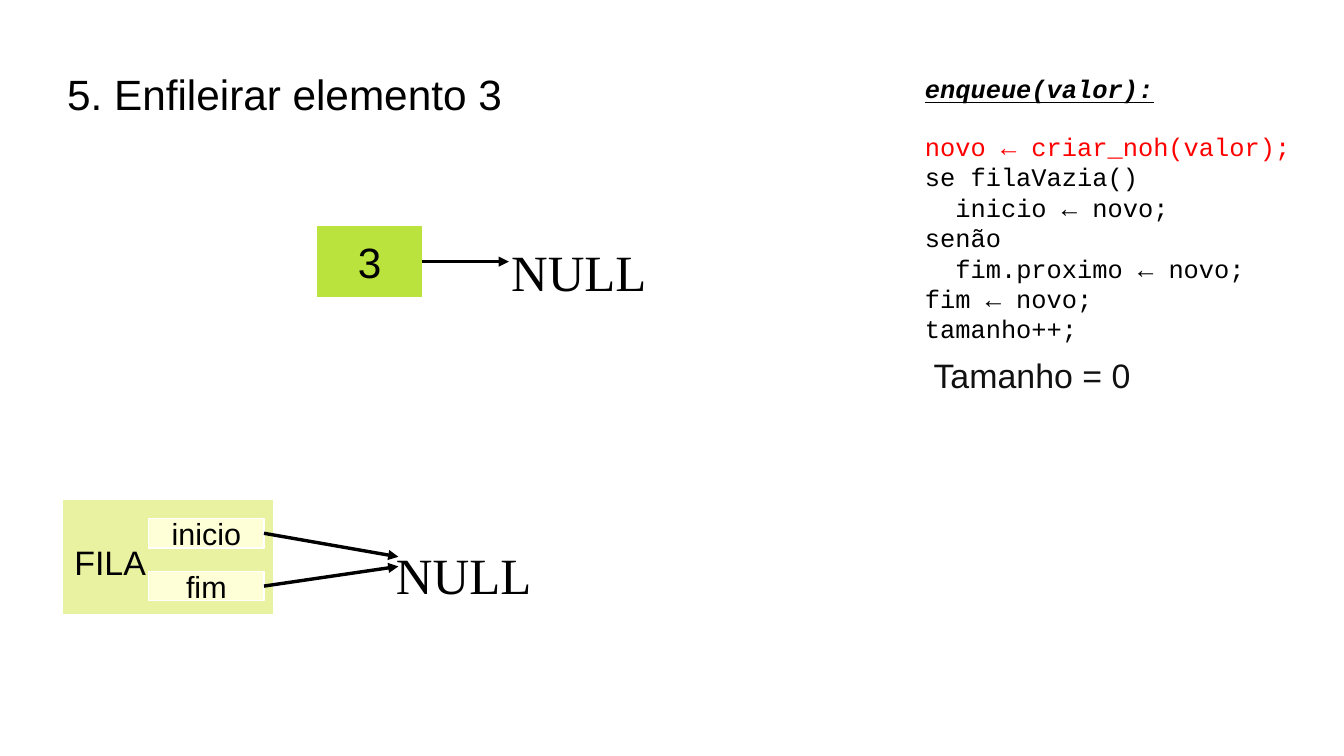
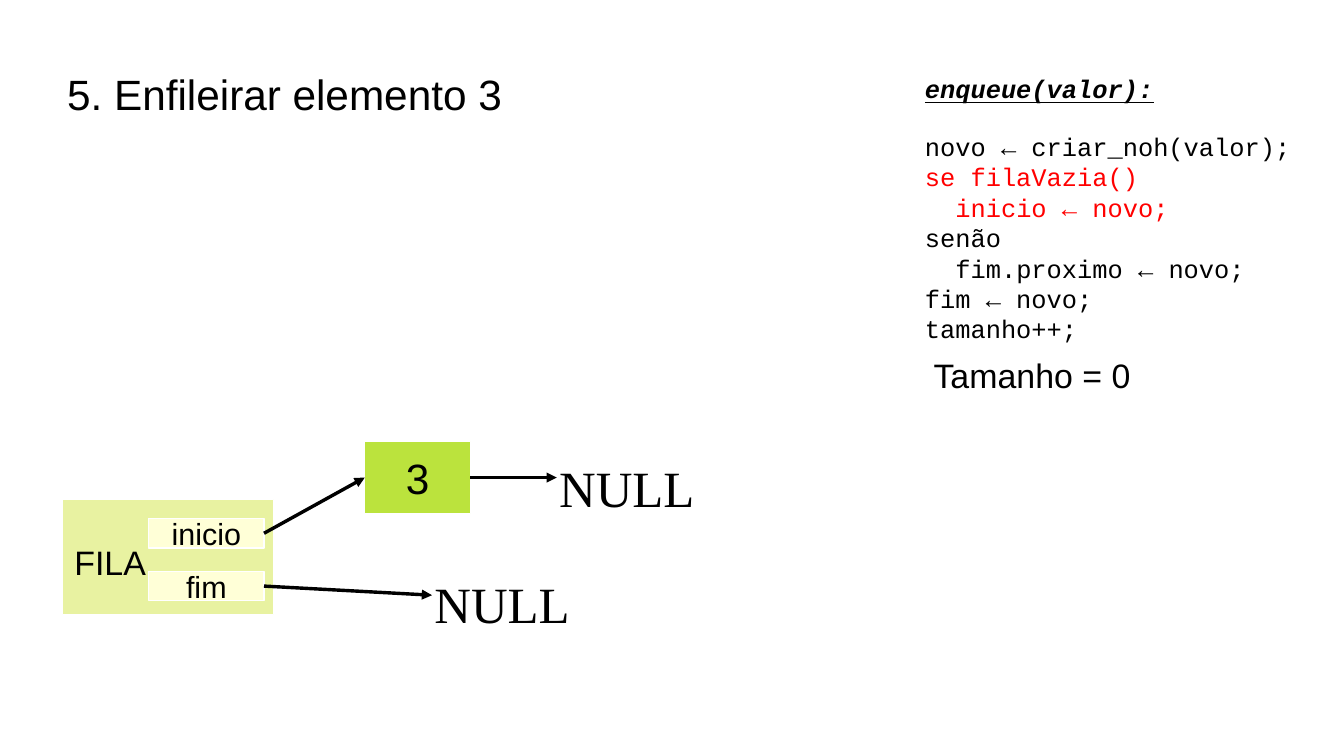
from lxml import etree
from pptx import Presentation
from pptx import util as u
from pptx.dml.color import RGBColor
from pptx.enum import shapes, text
from pptx.oxml.ns import qn

COLORS = {"ink": "000000", "dark": "111111", "active": "FF0000", "white": "FFFFFF",
          "queue": "E8F2A1", "pointer": "FFFFD7", "node": "BBE33D"}
CODE = [("novo ← criar_noh(valor);", 0), ("se filaVazia()", 0), ("inicio ← novo;", 1),
        ("senão", 0), ("fim.proximo ← novo;", 1), ("fim ← novo;", 0), ("tamanho++;", 0)]
STEPS = [
    {"active": [0], "node": (6.6, 4.7), "null": (8, 11.2),
     "inicio": (8.3, 11.6), "fim": (8.3, 11.8), "size": "dark"},
    {"active": [1, 2], "node": (7.6, 9.2), "null": (8.8, 11.8),
     "inicio": None, "fim": (9, 12.4), "size": "ink"},
]


def write(frame, words, size=20, font="Arial", color="ink", align="LEFT", anchor="TOP",
          wrap=True, emphasis=False, after=0, indent=0, add=False):
    frame.word_wrap = wrap
    frame.auto_size = text.MSO_AUTO_SIZE.NONE
    frame.vertical_anchor = text.MSO_ANCHOR[anchor]
    line = frame.add_paragraph() if add else frame.paragraphs[0]
    line.alignment = text.PP_ALIGN[align]
    line.space_after = u.Pt(after)
    if indent:
        line._p.get_or_add_pPr().set("marL", str(u.Pt(indent)))
    run = line.add_run()
    run.text = words
    run.font.name = font
    run.font.size = u.Pt(size)
    run.font.bold = run.font.italic = run.font.underline = emphasis
    run.font.color.rgb = RGBColor.from_string(COLORS[color])


def box(slide, left, top, width, height, fill):
    rect = slide.shapes.add_shape(shapes.MSO_SHAPE.RECTANGLE, *map(u.Cm, (left, top, width, height)))
    rect.shadow.inherit = False
    rect.fill.solid()
    rect.fill.fore_color.rgb = RGBColor.from_string(COLORS[fill])
    rect.line.color.rgb = RGBColor.from_string(COLORS["white"])
    rect.line.width = 0
    return rect


deck = Presentation()
deck.slide_width, deck.slide_height = u.Cm(28), u.Cm(15.75)

for step in STEPS:
    slide = deck.slides.add_slide(deck.slide_layouts[5])
    title = slide.shapes.title
    title.left, title.top, title.width, title.height = map(u.Cm, (1.4, 0.63, 25.2, 2.63))
    frame = title.text_frame
    frame.margin_left = frame.margin_right = frame.margin_top = frame.margin_bottom = 0
    write(frame, "5. Enfileirar elemento 3", size=25, anchor="MIDDLE")

    box(slide, 1.3, 10.4, 4.4, 2.4, "queue")
    pointers = {}
    for name, top in (("inicio", 10.8), ("fim", 11.9)):
        pointers[name] = box(slide, 3.1, top, 2.4, 0.62, "pointer")
        write(pointers[name].text_frame, name, size=18, align="CENTER", anchor="MIDDLE", wrap=False)

    node_left, node_top = step["node"]
    node = box(slide, node_left, node_top, 2.2, 1.5, "node")
    write(node.text_frame, "3", size=25, align="CENTER", anchor="MIDDLE", wrap=False)

    null_format = {"size": 30, "font": "Times New Roman"}
    labels = [
        ("FILA", (1.3, 11.15), 2.1, {}),
        ("NULL", step["null"], 3.4, null_format),
        ("NULL", (node_left + 3.8, node_top + 0.2), 3.4, null_format),
        ("Tamanho = 0", (19.2, 7.27), 4.8, {"color": step["size"]}),
    ]
    for words, (left, top), width, style in labels:
        label = slide.shapes.add_textbox(u.Cm(left), u.Cm(top), u.Cm(width), u.Cm(1.2))
        write(label.text_frame, words, **style)

    code = slide.shapes.add_textbox(u.Cm(19.02), u.Cm(1.4), u.Cm(8.28), u.Cm(5.9)).text_frame
    write(code, "enqueue(valor):", size=15, font="Courier New", emphasis=True, after=16)
    for number, (words, level) in enumerate(CODE):
        write(code, words, size=15, font="Courier New", indent=18 * level, add=True,
              color="active" if number in step["active"] else "ink")

    links = [(pointers["inicio"], step["inicio"]), (pointers["fim"], step["fim"]),
             (node, (node_left + 4, node_top + 0.75))]
    for source, target in links:
        end_x, end_y = map(u.Cm, target or step["node"])
        arrow = slide.shapes.add_connector(shapes.MSO_CONNECTOR.STRAIGHT, 0, 0, end_x, end_y)
        arrow.begin_connect(source, 3)
        if target is None:
            arrow.end_connect(node, 1)
        arrow.line.color.rgb = RGBColor.from_string(COLORS["ink"])
        arrow.line.width = 0
        etree.SubElement(arrow.line._get_or_add_ln(), qn("a:tailEnd"), type="triangle")
        etree.SubElement(arrow._element.spPr, qn("a:effectLst"))

deck.save("out.pptx")
